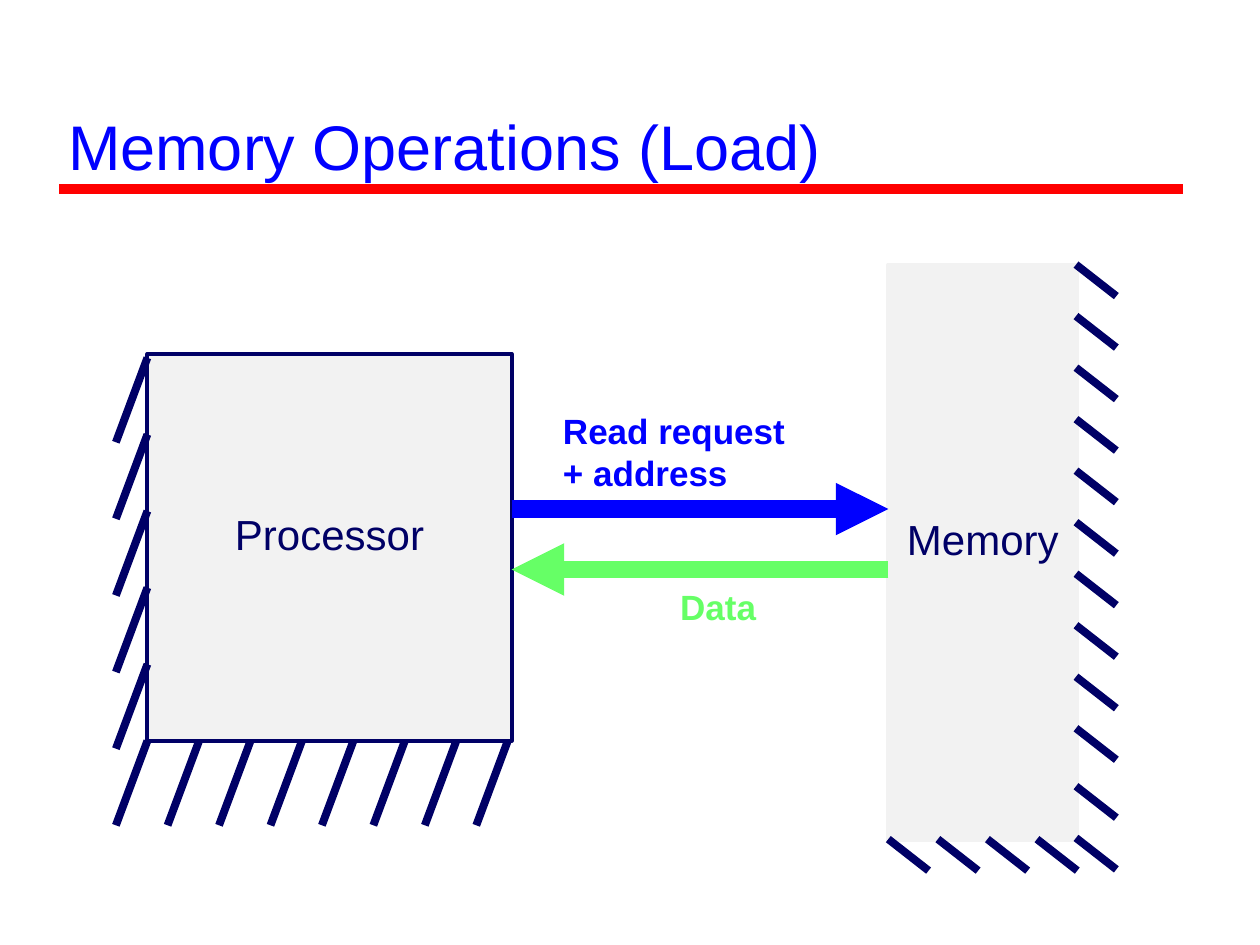
from lxml.etree import SubElement
from pptx import Presentation
from pptx.dml.color import RGBColor
from pptx.enum.shapes import MSO_CONNECTOR as CONN, MSO_SHAPE as SHAPE
from pptx.enum.text import MSO_ANCHOR as ANCHOR, MSO_AUTO_SIZE as AUTO, PP_ALIGN as ALIGN
from pptx.oxml.ns import qn
from pptx.util import Inches, Pt

NAVY, BLUE, RED, GREEN, GREY = "000066", "0000FF", "FF0000", "66FF66", "F2F2F2"


def rgb(color):
    return RGBColor.from_string(color)


class Deck:
    font = "Arial"

    def __init__(self):
        self.prs = Presentation()
        self.prs.slide_width, self.prs.slide_height = Inches(10), Inches(7.5)
        self.s = self.prs.slides.add_slide(self.prs.slide_layouts[5])

    def style(self, tf, size, color, bold=False, align=ALIGN.LEFT):
        for p in tf.paragraphs:
            p.alignment = align
            for r in p.runs:
                r.font.name, r.font.size, r.font.bold = self.font, Pt(size), bold
                r.font.color.rgb = rgb(color)

    def title(self, text, x, y, w, h):
        sp = self.s.shapes.title
        sp.left, sp.top, sp.width, sp.height = map(Inches, (x, y, w, h))
        tf = sp.text_frame
        tf.text = text
        tf.auto_size, tf.vertical_anchor = AUTO.NONE, ANCHOR.BOTTOM
        self.style(tf, 36, BLUE)

    def block(self, text, x, y, w, h, outline):
        sp = self.s.shapes.add_shape(SHAPE.RECTANGLE, *map(Inches, (x, y, w, h)))
        sp.shadow.inherit = False
        sp.fill.solid()
        sp.fill.fore_color.rgb = rgb(GREY)
        sp.line.color.rgb = rgb(outline)
        sp.line.width = Pt(2.25)
        tf = sp.text_frame
        tf.text = text
        tf.word_wrap, tf.vertical_anchor = False, ANCHOR.MIDDLE
        tf.paragraphs[0].line_spacing = 0.2
        self.style(tf, 24, NAVY, align=ALIGN.CENTER)

    def label(self, text, x, y, w, h, color):
        tf = self.s.shapes.add_textbox(*map(Inches, (x, y, w, h))).text_frame
        tf.text = text
        tf.word_wrap, tf.auto_size = False, AUTO.SHAPE_TO_FIT_TEXT
        self.style(tf, 20, color, bold=True)

    def line(self, x1, y1, x2, y2, color, width, arrow=False):
        cx = self.s.shapes.add_connector(CONN.STRAIGHT, *map(Inches, (x1, y1, x2, y2)))
        cx.line.color.rgb = rgb(color)
        cx.line.width = Pt(width)
        if arrow:
            SubElement(cx.line._get_or_add_ln(), qn("a:tailEnd"), type="triangle")
        SubElement(cx._element.spPr, qn("a:effectLst"))

    def hatch(self, first, last, count, slant):
        """Draw equally spaced parallel strokes whose starts run from first to last."""
        (x1, y1), (x2, y2), (dx, dy) = first, last, slant
        for i in range(count):
            t = i / (count - 1)
            x, y = x1 + t * (x2 - x1), y1 + t * (y2 - y1)
            self.line(x, y, x + dx, y + dy, NAVY, 4.5)


def main():
    deck = Deck()
    deck.title("Memory Operations (Load)", 0.44, 0.25, 8.97, 1.25)
    deck.line(0.47, 1.5, 9.39, 1.5, RED, 6)

    deck.block("Processor", 1.17, 2.81, 2.89, 3.07, NAVY)
    left_slant = (-0.25, 0.67)
    deck.hatch((1.17, 2.84), (1.17, 5.88), 6, left_slant)
    deck.hatch((1.58, 5.88), (4.03, 5.88), 7, left_slant)

    deck.block("Memory", 7.05, 2.1, 1.5, 4.57, GREY)
    right_slant = (0.32, 0.25)
    deck.hatch((8.54, 2.1), (8.54, 5.78), 10, right_slant)
    deck.hatch((8.54, 6.24), (8.54, 6.65), 2, right_slant)
    deck.hatch((7.05, 6.66), (8.23, 6.66), 4, right_slant)

    deck.line(4.06, 4.04, 7.05, 4.04, BLUE, 10, arrow=True)
    deck.label("Read request\n+ address", 4.37, 3.2, 1.96, 0.77, BLUE)
    deck.line(7.05, 4.52, 4.06, 4.52, GREEN, 10, arrow=True)
    deck.label("Data", 5.3, 4.6, 0.8, 0.43, GREEN)

    deck.prs.save("out.pptx")


if __name__ == "__main__":
    main()
